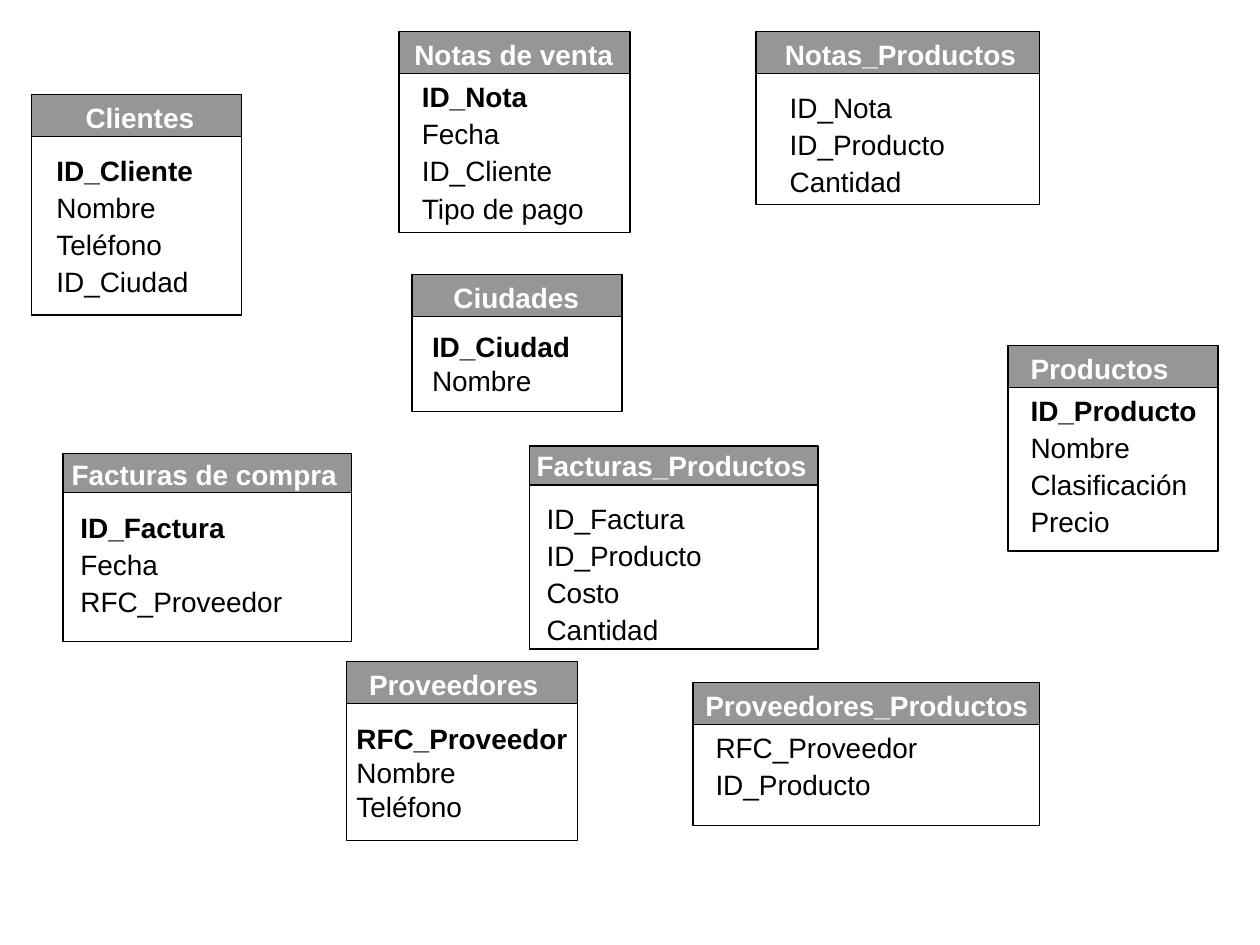
from dataclasses import dataclass

import pptx
import pptx.dml.color
import pptx.enum.shapes
import pptx.enum.text
import pptx.util

Pt = pptx.util.Pt
BLACK = pptx.dml.color.RGBColor(0x00, 0x00, 0x00)
WHITE = pptx.dml.color.RGBColor(0xFF, 0xFF, 0xFF)
GRAY = pptx.dml.color.RGBColor(0x96, 0x96, 0x96)
FONT_SIZE = 16
LINE_HEIGHT = 18.4
INSET_HEIGHT = 7.2


@dataclass(frozen=True)
class Label:
    left: float
    top: float
    width: float
    lines: tuple[str, ...]
    space_before: float = 2


@dataclass(frozen=True)
class Entity:
    left: float
    top: float
    width: float
    body_height: float
    title: Label
    fields: Label
    has_key: bool = True
    header_height: float = 24
    body_offset: float = 24


ENTITIES = (
    Entity(18, 54, 120, 102,
           Label(41.8, 54, 90, ("Clientes",)),
           Label(25.2, 84.2, 136, ("ID_Cliente", "Nombre", "Teléfono", "ID_Ciudad"))),
    Entity(228, 18, 132, 91,
           Label(229.7, 18, 137, ("Notas de venta",)),
           Label(234, 42, 138, ("ID_Nota", "Fecha", "ID_Cliente", "Tipo de pago"))),
    Entity(432, 18, 162, 75,
           Label(441.4, 18, 153, ("Notas_Productos",)),
           Label(444.2, 48.2, 138, ("ID_Nota", "ID_Producto", "Cantidad")),
           has_key=False),
    Entity(235.4, 157, 120, 54,
           Label(252, 157, 90, ("Ciudades",)),
           Label(239.8, 185, 139, ("ID_Ciudad", "Nombre"), space_before=0)),
    Entity(302.4, 254.9, 165, 95.8,
           Label(299.5, 252.7, 173.5, ("Facturas_Productos",)),
           Label(305.3, 283, 138, ("ID_Factura", "ID_Producto", "Costo", "Cantidad")),
           has_key=False, header_height=22.3, body_offset=20.2),
    Entity(576, 197.3, 120, 93.6,
           Label(581.8, 197.3, 114, ("Productos",)),
           Label(581.8, 221.3, 120, ("ID_Producto", "Nombre", "Clasificación", "Precio"))),
    Entity(396, 390.2, 198, 57.6,
           Label(396, 390.2, 204, ("Proveedores_Productos",)),
           Label(401.8, 414, 138, ("RFC_Proveedor", "ID_Producto")),
           has_key=False),
    Entity(198, 378, 132, 78.5,
           Label(203.8, 378, 114, ("Proveedores",)),
           Label(196.6, 409, 139, ("RFC_Proveedor", "Nombre", "Teléfono"), space_before=0)),
    Entity(36, 259.2, 165, 86.4,
           Label(33.8, 257.8, 173.5, ("Facturas de compra",)),
           Label(38.9, 288, 138, ("ID_Factura", "Fecha", "RFC_Proveedor")),
           header_height=22.3, body_offset=20.9),
)


def draw_rectangle(page: pptx.slide.Slide, left: float, top: float, width: float,
                   height: float, fill: pptx.dml.color.RGBColor | None = None) -> None:
    box = page.shapes.add_shape(pptx.enum.shapes.MSO_SHAPE.RECTANGLE,
                                Pt(left), Pt(top), Pt(width), Pt(height))
    box.shadow.inherit = False
    box.line.color.rgb = BLACK
    box.line.width = Pt(0.75)
    if fill is None:
        box.fill.background()
    else:
        box.fill.solid()
        box.fill.fore_color.rgb = fill


def draw_label(page: pptx.slide.Slide, label: Label, color: pptx.dml.color.RGBColor,
               first_bold: bool) -> None:
    height = INSET_HEIGHT + len(label.lines) * (LINE_HEIGHT + label.space_before)
    box = page.shapes.add_textbox(Pt(label.left), Pt(label.top), Pt(label.width), Pt(height))
    frame = box.text_frame
    frame.word_wrap = True
    frame.auto_size = pptx.enum.text.MSO_AUTO_SIZE.SHAPE_TO_FIT_TEXT
    frame.text = "\n".join(label.lines)
    for index, paragraph in enumerate(frame.paragraphs):
        paragraph.space_before = Pt(label.space_before)
        paragraph.font.name = "Arial"
        paragraph.font.size = Pt(FONT_SIZE)
        paragraph.font.bold = first_bold and index == 0
        paragraph.font.color.rgb = color


def draw_entity(page: pptx.slide.Slide, entity: Entity) -> None:
    draw_rectangle(page, entity.left, entity.top + entity.body_offset,
                   entity.width, entity.body_height)
    draw_rectangle(page, entity.left, entity.top, entity.width, entity.header_height, GRAY)
    draw_label(page, entity.title, WHITE, True)
    draw_label(page, entity.fields, BLACK, entity.has_key)


def main() -> None:
    deck = pptx.Presentation()
    deck.slide_width = Pt(720)
    deck.slide_height = Pt(540)
    page = deck.slides.add_slide(deck.slide_layouts[6])
    for entity in ENTITIES:
        draw_entity(page, entity)
    deck.save("out.pptx")


if __name__ == "__main__":
    main()
